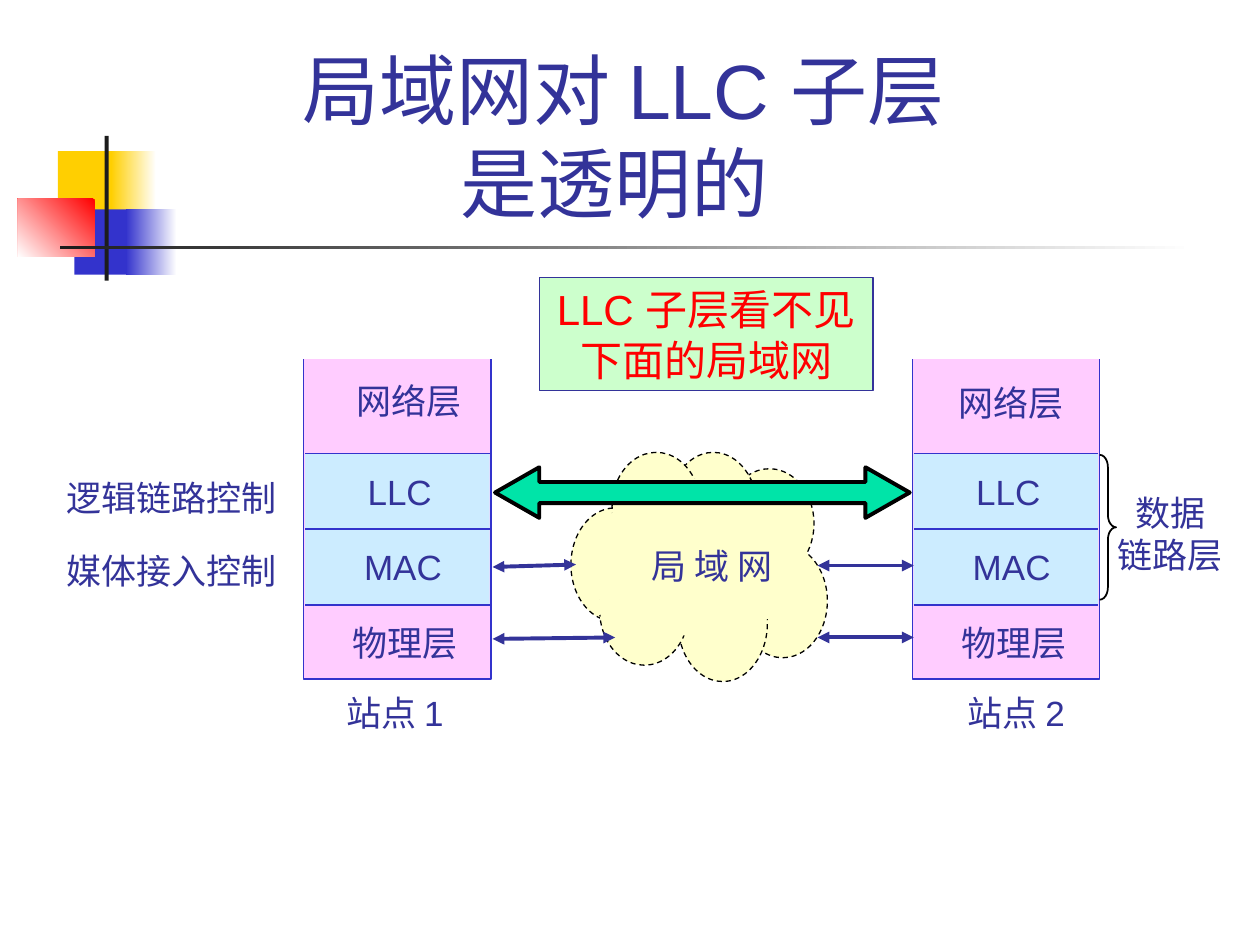
from lxml import etree
from pptx import Presentation
from pptx.dml.color import RGBColor
from pptx.enum.dml import MSO_LINE
from pptx.enum.shapes import MSO_CONNECTOR, MSO_SHAPE
from pptx.enum.text import MSO_ANCHOR, MSO_AUTO_SIZE, PP_ALIGN
from pptx.oxml.ns import qn
from pptx.util import Cm, Pt

RECT, OVAL = MSO_SHAPE.RECTANGLE, MSO_SHAPE.OVAL
ARROW, BRACE = MSO_SHAPE.LEFT_RIGHT_ARROW, MSO_SHAPE.RIGHT_BRACE
STRAIGHT = MSO_CONNECTOR.STRAIGHT
LEFT, CENTER = PP_ALIGN.LEFT, PP_ALIGN.CENTER
TOP, BOTTOM = MSO_ANCHOR.TOP, MSO_ANCHOR.BOTTOM

COLORS = {
    "text": "333399", "rule": "3333CC", "white": "FFFFFF", "black": "000000",
    "gold": "FFCF01", "red": "FF0000", "dark": "1C1C1C", "pink": "FFCCFF",
    "sky": "CCECFF", "cream": "FFFFCC", "mint": "CCFFCC", "green": "00E4A8",
}
STATION_W, STATION_TOP, STATION_BOTTOM = 3.78, 7.24, 13.69
LAYER_LINES = (9.14, 10.67, 12.19)


def rgb(name):
    return RGBColor.from_string(COLORS[name])


def paint(sp, fill=None, line=None, width=0.75, dash=None):
    sp.shadow.inherit = False
    if fill:
        sp.fill.solid()
        sp.fill.fore_color.rgb = rgb(fill)
    else:
        sp.fill.background()
    if line:
        sp.line.color.rgb = rgb(line)
        sp.line.width = Pt(width)
        sp.line.dash_style = dash
    else:
        sp.line.fill.background()
    return sp


def add_shape(s, kind, box, adjust=(), **style):
    sp = s.shapes.add_shape(kind, *map(Cm, box))
    for i, value in enumerate(adjust):
        sp.adjustments[i] = value
    return paint(sp, **style)


def add_fade(s, box, start, end, angle):
    sp = add_shape(s, RECT, box)
    sp.fill.gradient()
    sp.fill.gradient_angle = angle
    for stop, name in zip(sp.fill.gradient_stops, (start, end)):
        stop.color.rgb = rgb(name)


def add_outline(s, points, close, **style):
    pts = [(Cm(x), Cm(y)) for x, y in points]
    fb = s.shapes.build_freeform(*pts[0])
    fb.add_line_segments(pts[1:], close=close)
    return paint(fb.convert_to_shape(), **style)


def add_line(s, x1, y1, x2, y2, color, width, heads=False):
    cn = s.shapes.add_connector(STRAIGHT, Cm(x1), Cm(y1), Cm(x2), Cm(y2))
    cn.line.color.rgb = rgb(color)
    cn.line.width = Pt(width)
    if heads:
        ln = cn.line._get_or_add_ln()
        for end in ("a:headEnd", "a:tailEnd"):
            etree.SubElement(ln, qn(end), type="triangle")
    etree.SubElement(cn._element.spPr, qn("a:effectLst"))


def write(sp, lines, size=20, color="text", align=LEFT, anchor=TOP, wrap=False):
    tf = sp.text_frame
    frame = {
        "word_wrap": wrap, "vertical_anchor": anchor,
        "auto_size": MSO_AUTO_SIZE.NONE if wrap else MSO_AUTO_SIZE.SHAPE_TO_FIT_TEXT,
        "margin_left": Cm(0.25), "margin_right": Cm(0.25),
        "margin_top": Cm(0.13), "margin_bottom": Cm(0.13),
    }
    for name, value in frame.items():
        setattr(tf, name, value)
    tf.text = lines
    for p in tf.paragraphs:
        p.alignment = align
        for r in p.runs:
            for name, value in {"name": "Arial", "size": Pt(size)}.items():
                setattr(r.font, name, value)
            r.font.color.rgb = rgb(color)


def add_label(s, lines, x, y, w, h=1.09, **style):
    write(s.shapes.add_textbox(Cm(x), Cm(y), Cm(w), Cm(h)), lines, **style)


def add_ornament(s):
    add_shape(s, RECT, (1.17, 3.05, 1.22, 1.32), fill="gold")
    add_fade(s, (2.24, 3.05, 0.91, 1.32), "white", "gold", 180)
    add_shape(s, RECT, (1.5, 4.22, 1.17, 1.32), fill="rule")
    add_fade(s, (2.54, 4.22, 1.02, 1.32), "white", "rule", 180)
    add_fade(s, (0.36, 4.01, 1.55, 1.17), "red", "white", 225)
    add_shape(s, RECT, (2.11, 2.74, 0.08, 2.92), fill="dark")
    add_fade(s, (1.22, 4.95, 22.86, 0.08), "white", "dark", 180)


def add_station(s, x, name, name_x, network_x, network_y):
    right = x + STATION_W
    add_outline(s, [(x, STATION_TOP), (x, STATION_BOTTOM),
                    (right, STATION_BOTTOM), (right, STATION_TOP)],
                False, fill="pink", line="rule")
    top, bottom = LAYER_LINES[0], LAYER_LINES[-1]
    add_shape(s, RECT, (x + 0.03, top, STATION_W - 0.06, bottom - top), fill="sky")
    for y in LAYER_LINES:
        add_line(s, x + 0.03, y, right - 0.03, y, "rule", 1)
    add_label(s, "网络层", network_x, network_y, 2.62)
    add_label(s, "LLC", x + 1.04, 9.35, 1.8)
    add_label(s, "MAC", x + 0.97, 10.87, 2.08)
    add_label(s, "物理层", x + 0.74, 12.4, 2.62)
    add_label(s, name, name_x, 13.82, 2.64)


def add_cloud(s):
    puffs = [
        (14.88, 10.97, 1.8, 2.29), (11.51, 10.24, 1.78, 2.29),
        (14.61, 9.45, 1.8, 2.21), (13.67, 11.4, 1.8, 2.34),
        (12.09, 11.2, 1.8, 2.21), (13.49, 9.12, 1.78, 2.29),
        (12.34, 9.12, 1.78, 2.18),
    ]
    for box in puffs:
        add_shape(s, OVAL, box, fill="cream", line="black", dash=MSO_LINE.DASH)
    # Core and patch hide the inner outlines
    add_shape(s, OVAL, (11.96, 9.65, 4.32, 3.18), fill="cream")
    add_outline(s, [(12.14, 11.79), (12.24, 11.89), (12.14, 12.37),
                    (12.09, 12.4), (11.99, 12.34), (12.07, 12.14)],
                True, fill="cream")
    add_label(s, "局 域 网", 12.88, 10.85, 2.95)


def main():
    prs = Presentation()
    prs.slide_width, prs.slide_height = Cm(25.4), Cm(19.05)
    s = prs.slides.add_slide(prs.slide_layouts[6])

    # Title and ornament
    add_ornament(s)
    add_label(s, "局域网对 LLC 子层\v是透明的 ", 3.05, 2.59, 19.05, 2.13,
              size=44, align=CENTER, anchor=BOTTOM, wrap=True)

    # Stations and the network between them
    add_station(s, 18.39, "站点 2", 19.25, 19.08, 7.57)
    add_station(s, 6.12, "站点 1", 6.73, 6.93, 7.52)
    add_cloud(s)

    # Links
    for link in ((9.93, 12.88, 12.4, 12.85), (18.42, 12.85, 16.48, 12.85),
                 (9.93, 11.43, 11.61, 11.38), (18.42, 11.4, 16.48, 11.4)):
        add_line(s, *link, "text", 2.25, heads=True)
    add_shape(s, ARROW, (9.98, 9.42, 8.36, 1.02), (0.417, 0.875),
              fill="green", line="black", width=2.25)

    # Side notes
    add_label(s, "逻辑链路控制", 1.09, 9.47, 4.75)
    add_label(s, "媒体接入控制", 1.09, 10.95, 4.75)
    add_shape(s, BRACE, (22.17, 9.17, 0.33, 2.92), (0.75, 0.5),
              line="black", width=1)
    add_label(s, "数据\n链路层", 22.28, 9.78, 2.62, 1.93, align=CENTER)

    # Callout
    callout = add_shape(s, RECT, (10.87, 5.59, 6.73, 2.29), fill="mint", line="text")
    write(callout, "LLC 子层看不见\n下面的局域网", size=24, color="red", align=CENTER)

    prs.save("out.pptx")


if __name__ == "__main__":
    main()
